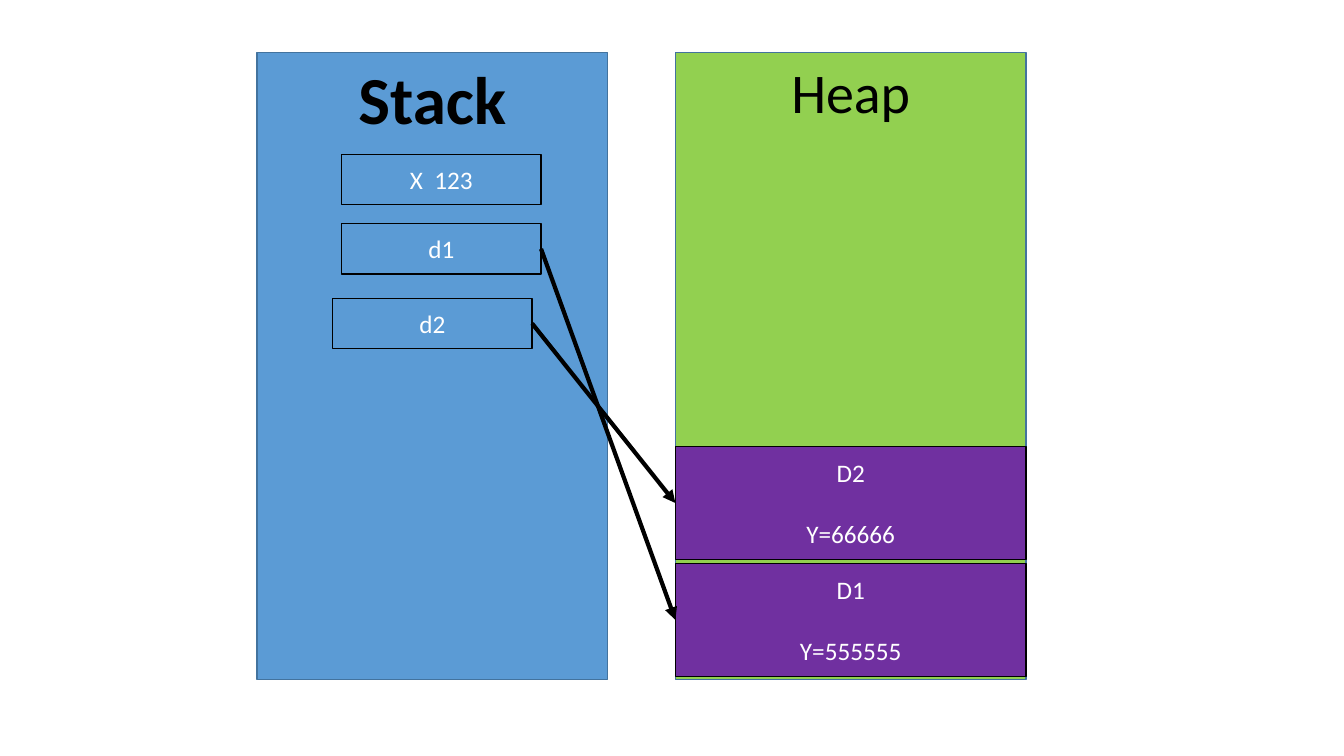
from pptx import Presentation
from pptx.dml.color import RGBColor
from pptx.enum import shapes, text
from pptx.oxml import ns
from pptx.util import Pt
from lxml import etree

BLUE = RGBColor(0x5B, 0x9B, 0xD5)
EDGE = RGBColor(0x43, 0x73, 0x9E)
GREEN = RGBColor(0x92, 0xD0, 0x50)
PURPLE = RGBColor(0x70, 0x30, 0xA0)
BLACK = RGBColor(0, 0, 0)
WHITE = RGBColor(255, 255, 255)

deck = Presentation()
deck.slide_width, deck.slide_height = Pt(960), Pt(540)
slide = deck.slides.add_slide(deck.slide_layouts[6])


def add_box(left, top, width, height, lines, fill=None, edge=BLACK,
            size=18, color=WHITE, bold=False, anchor=text.MSO_ANCHOR.MIDDLE):
    box = slide.shapes.add_shape(shapes.MSO_SHAPE.RECTANGLE, Pt(left), Pt(top),
                                 Pt(width), Pt(height))
    box.shadow.inherit = False
    if fill is None:
        box.fill.background()
    else:
        box.fill.solid()
        box.fill.fore_color.rgb = fill
    box.line.color.rgb = edge
    box.line.width = Pt(1)
    frame = box.text_frame
    frame.word_wrap = True
    frame.vertical_anchor = anchor
    for i, line in enumerate(lines):
        para = frame.add_paragraph() if i else frame.paragraphs[0]
        para.alignment = text.PP_ALIGN.CENTER
        if i:
            para.space_before = Pt(22)
        run = para.add_run()
        run.text = line
        font = run.font
        font.name, font.size, font.bold = "Calibri", Pt(size), bold
        font.color.rgb = color
    return box


# Memory areas
heap_x, area_w = 482.4, 250.5
for name, left, fill, size, bold in [("Stack", 183.6, BLUE, 48, True),
                                     ("Heap", heap_x, GREEN, 40, False)]:
    add_box(left, 37.4, area_w, 447.8, [name], fill, EDGE, size, BLACK, bold,
            text.MSO_ANCHOR.TOP)

# Variables on the stack
refs = {}
for name, left, top in [("X  123", 244, 110.2), ("d1", 244, 159.8),
                        ("d2", 237.6, 213.1)]:
    refs[name] = add_box(left, top, 142.5, 36, [name])

# Objects on the heap, each with the arrow from its variable
for name, value, top in [("D2", "Y=66666", 319), ("D1", "Y=555555", 402.5)]:
    item = add_box(heap_x, top, area_w, 80.6, [name, value], PURPLE)
    arrow = slide.shapes.add_connector(shapes.MSO_CONNECTOR.STRAIGHT, 0, 0, 0, 0)
    arrow.begin_connect(refs[name.lower()], 3)
    arrow.end_connect(item, 1)
    arrow.line.color.rgb = BLACK
    arrow.line.width = Pt(3)
    etree.SubElement(arrow.line._get_or_add_ln(), ns.qn("a:tailEnd"), type="triangle")
    etree.SubElement(arrow._element.spPr, ns.qn("a:effectLst"))

deck.save("out.pptx")
